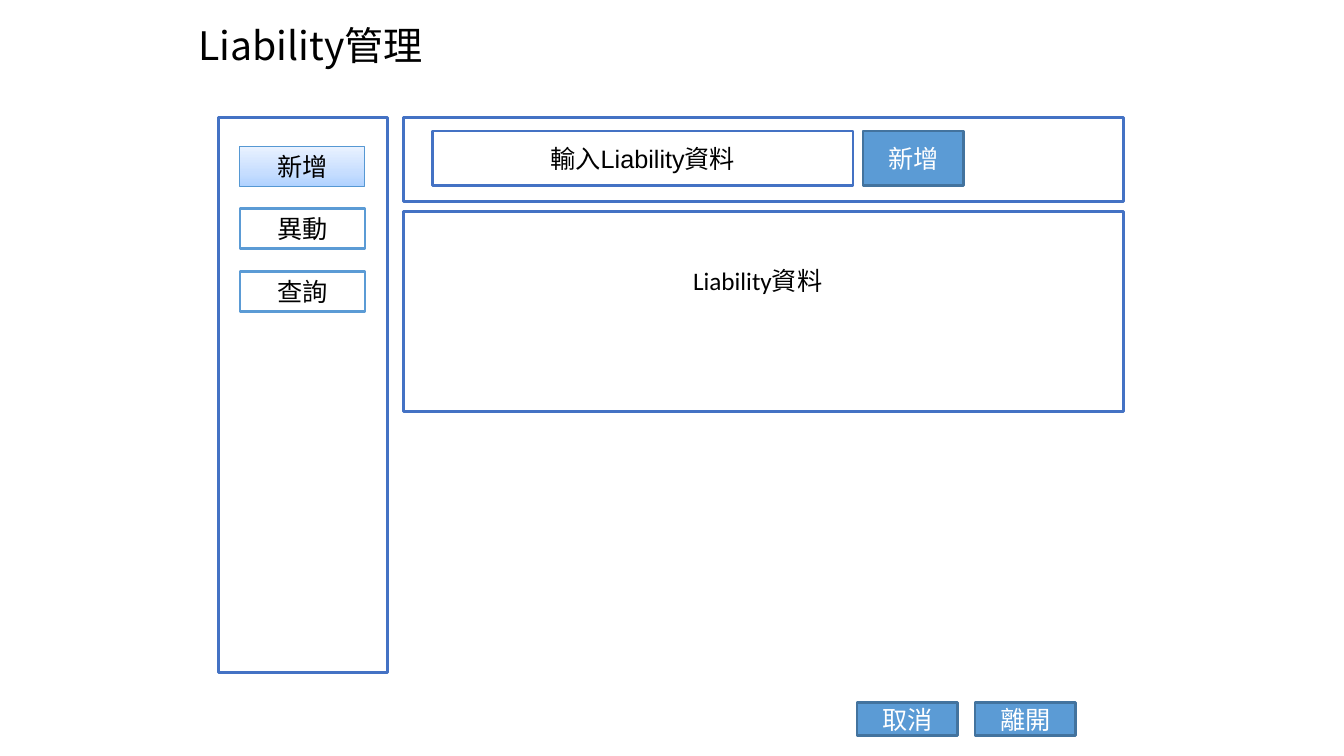
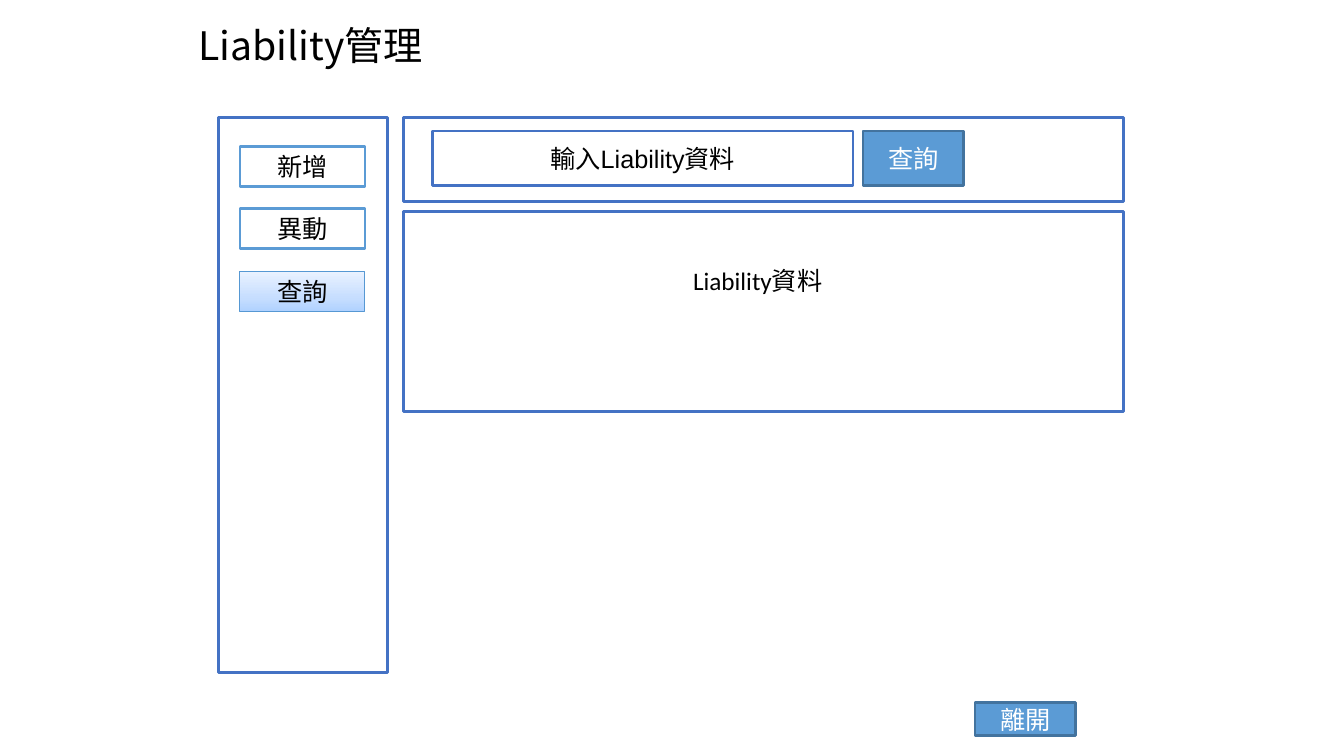
from copy import deepcopy
from dataclasses import dataclass

from pptx import Presentation
from pptx.dml.color import RGBColor
from pptx.enum.shapes import MSO_SHAPE
from pptx.enum.text import MSO_ANCHOR, MSO_AUTO_SIZE, PP_ALIGN
from pptx.oxml.ns import qn
from pptx.util import Pt

RECT = MSO_SHAPE.RECTANGLE
MIDDLE = MSO_ANCHOR.MIDDLE
CENTER, LEFT = PP_ALIGN.CENTER, PP_ALIGN.LEFT
NO_FIT = MSO_AUTO_SIZE.NONE
TITLE_ONLY = 5
EMU_PER_PX = 9144  # 100 px to the inch


@dataclass(frozen=True)
class Theme:
    black: str = "000000"
    white: str = "FFFFFF"
    frame: str = "4472C4"
    button: str = "5B9BD5"
    button_edge: str = "43739E"
    active_edge: str = "5698D3"
    active_stops: tuple = ((0, "B0D2FF"), (0.35, "C7DEFF"), (1, "EAF2FF"))
    title_font: str = "Noto Sans CJK SC"
    menu_font: str = "Calibri"
    form_font: str = "Arial"
    title_size: int = 28
    text_size: int = 18
    line: float = 2
    thin_line: float = 0.75


T = Theme()

TITLE = "Liability管理"
MENU = ["新增", "異動", "查詢"]
INPUT_LABEL = "輸入Liability資料"
RESULT_LABEL = "Liability資料"
# Footer buttons run from right to left
PAGES = [
    {"action": "新增", "footer": ["離開", "取消"]},
    {"action": "查詢", "footer": ["離開"]},
]

# Boxes in px: left, top, width, height
SLIDE_SIZE = (1333, 750)
TITLE_BOX = (192, 17, 900, 60)
TITLE_INSET = 5
MENU_PANEL = (217, 117, 167, 550)
FORM_PANEL = (400, 117, 714, 83)
RESULT_PANEL = (400, 210, 714, 198)
INPUT_BOX = (429, 130, 417, 54)
ACTION_BOX = (856, 130, 100, 54)
RESULT_BOX = (634, 258, 235, 40)
MENU_ITEM = (238, 145, 124, 40)
MENU_STEP = 62
FOOTER_BUTTON = (967, 697, 100, 33)
FOOTER_STEP = 117


def px(value):
    return round(value * EMU_PER_PX)


def emu(box):
    return [px(v) for v in box]


def rgb(color):
    return RGBColor.from_string(color)


def set_text(sp, text, font, color, size=T.text_size, align=CENTER):
    tf = sp.text_frame
    tf.text = text
    tf.word_wrap = True
    tf.auto_size = NO_FIT
    tf.vertical_anchor = MIDDLE
    p = tf.paragraphs[0]
    p.alignment = align
    r = p.runs[0]
    r.font.name = font
    r.font.size = Pt(size)
    r.font.color.rgb = rgb(color)


def add_box(s, box, fill=T.white, edge=T.frame, line=T.line):
    sp = s.shapes.add_shape(RECT, *emu(box))
    sp.shadow.inherit = False
    sp.fill.solid()
    sp.fill.fore_color.rgb = rgb(fill)
    sp.line.color.rgb = rgb(edge)
    sp.line.width = Pt(line)
    return sp


def add_button(s, box, text):
    sp = add_box(s, box, T.button, T.button_edge)
    set_text(sp, text, T.form_font, T.white)


def fill_active(sp):
    """Give the chosen menu item its three-stop vertical gradient."""
    sp.fill.gradient()
    sp.fill.gradient_angle = 90
    stop_list = sp._element.spPr.find(".//" + qn("a:gsLst"))
    stop_list.append(deepcopy(stop_list[0]))
    for stop, (position, color) in zip(sp.fill.gradient_stops, T.active_stops):
        stop.position = position
        stop.color.rgb = rgb(color)


def add_title(s):
    title = s.shapes.title
    title.left, title.top, title.width, title.height = emu(TITLE_BOX)
    set_text(title, TITLE, T.title_font, T.black, T.title_size, LEFT)
    tf = title.text_frame
    tf.margin_left = tf.margin_right = px(TITLE_INSET)
    tf.margin_top = tf.margin_bottom = px(TITLE_INSET)
    tf.paragraphs[0].line_spacing = 0.9


def add_menu(s, active):
    add_box(s, MENU_PANEL)
    left, top, width, height = MENU_ITEM
    for i, text in enumerate(MENU):
        box = (left, top + i * MENU_STEP, width, height)
        if text == active:
            sp = add_box(s, box, edge=T.active_edge, line=T.thin_line)
            fill_active(sp)
        else:
            sp = add_box(s, box, edge=T.button)
        set_text(sp, text, T.menu_font, T.black)


def add_form(s, action):
    add_box(s, FORM_PANEL)
    set_text(add_box(s, INPUT_BOX), INPUT_LABEL, T.form_font, T.black)
    add_button(s, ACTION_BOX, action)


def add_result(s):
    add_box(s, RESULT_PANEL)
    label = s.shapes.add_textbox(*emu(RESULT_BOX))
    set_text(label, RESULT_LABEL, T.menu_font, T.black)


def add_footer(s, buttons):
    left, top, width, height = FOOTER_BUTTON
    for i, text in enumerate(buttons):
        add_button(s, (left - i * FOOTER_STEP, top, width, height), text)


def main():
    prs = Presentation()
    prs.slide_width, prs.slide_height = emu(SLIDE_SIZE)
    for page in PAGES:
        s = prs.slides.add_slide(prs.slide_layouts[TITLE_ONLY])
        add_title(s)
        add_menu(s, page["action"])
        add_form(s, page["action"])
        add_result(s)
        add_footer(s, page["footer"])
    prs.save("out.pptx")


if __name__ == "__main__":
    main()
